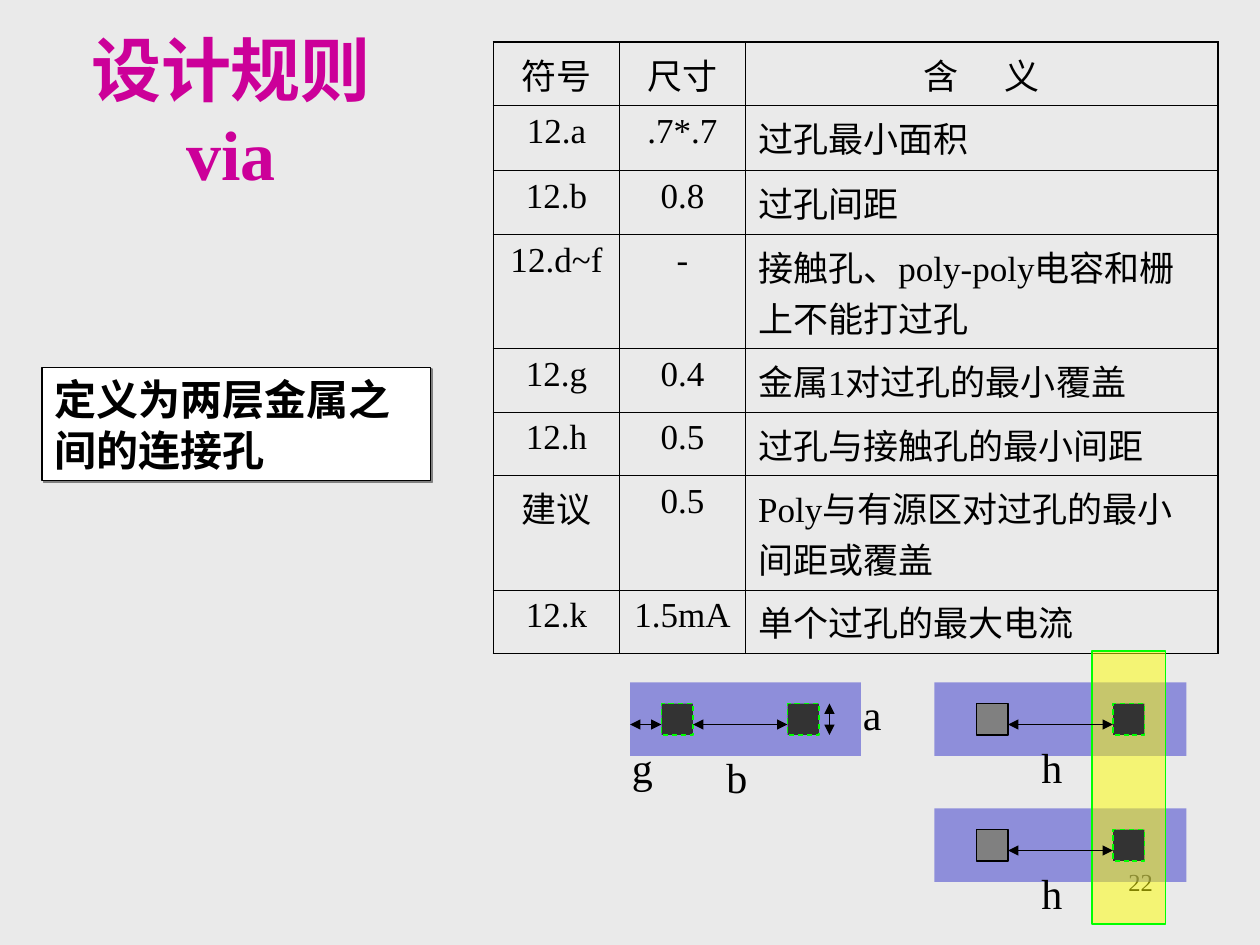
import pptx
import pptx.dml.color
import pptx.enum.dml
import pptx.enum.shapes
import pptx.enum.text
import pptx.oxml
import pptx.oxml.ns
import pptx.util

PX = 7620
FONT = "Times New Roman"
BLACK = "000000"
VIA = 30
NS = 'xmlns:a="http://schemas.openxmlformats.org/drawingml/2006/main"'
ALIGN = pptx.enum.text.PP_ALIGN
AUTO = pptx.enum.text.MSO_AUTO_SIZE
ANCHOR = pptx.enum.text.MSO_ANCHOR

ROWS = [
    (60, "符号", "尺寸", "含 义"),
    (62, "12.a", ".7*.7", "过孔最小面积"),
    (61, "12.b", "0.8", "过孔间距"),
    (92, "12.d~f", "-", "接触孔、poly-poly电容和栅上不能打过孔"),
    (60, "12.g", "0.4", "金属1对过孔的最小覆盖"),
    (60, "12.h", "0.5", "过孔与接触孔的最小间距"),
    (92, "建议", "0.5", "Poly与有源区对过孔的最小间距或覆盖"),
    (60, "12.k", "1.5mA", "单个过孔的最大电流"),
]


def emu(*lengths):
    """Turn px lengths into EMU."""
    return [pptx.util.Emu(n * PX) for n in lengths]


def rgb(color):
    """Turn a hex string into a colour."""
    return pptx.dml.color.RGBColor.from_string(color)


def xml(parent, markup):
    """Append a DrawingML element to a parent."""
    el = pptx.oxml.parse_xml(markup.replace("NS", NS, 1))
    parent.append(el)


def write(p, text, size, color=BLACK, bold=False, align=ALIGN.LEFT):
    """Set the text of a paragraph and format its runs."""
    p.text = text
    p.alignment = align
    for r in p.runs:
        r.font.name = FONT
        r.font.size = pptx.util.Pt(size)
        r.font.bold = bold
        r.font.color.rgb = rgb(color)


def add_text(shapes, box, text, size, align=ALIGN.LEFT, grow=False):
    """Add a wrapped text box."""
    tf = shapes.add_textbox(*emu(*box)).text_frame
    tf.word_wrap = True
    tf.auto_size = AUTO.SHAPE_TO_FIT_TEXT if grow else AUTO.NONE
    write(tf.paragraphs[0], text, size, align=align)


def add_rect(shapes, box, fill, line=None, dashed=False, alpha=None):
    """Add a rectangle with an optional outline and transparency."""
    sp = shapes.add_shape(pptx.enum.shapes.MSO_SHAPE.RECTANGLE, *emu(*box))
    sp.shadow.inherit = False
    sp.fill.solid()
    sp.fill.fore_color.rgb = rgb(fill)
    if alpha:
        clr = sp._element.spPr.find(".//" + pptx.oxml.ns.qn("a:srgbClr"))
        xml(clr, f'<a:alpha NS val="{alpha * 1000}"/>')
    if line:
        sp.line.color.rgb = rgb(line)
        sp.line.width = pptx.util.Pt(0.75)
    else:
        sp.line.fill.background()
    if dashed:
        sp.line.dash_style = pptx.enum.dml.MSO_LINE.DASH
    return sp


def add_band(shapes, x, y, w):
    """Add a translucent metal band."""
    add_rect(shapes, (x, y, w, 70), "3333CC", alpha=50)


def add_via(shapes, x, y):
    """Add a via square."""
    add_rect(shapes, (x, y, VIA, VIA), "333333", "00FF00", dashed=True)


def add_arrow(shapes, x1, y1, x2, y2):
    """Add a double-headed dimension arrow."""
    cx = shapes.add_connector(
        pptx.enum.shapes.MSO_CONNECTOR.STRAIGHT, *emu(x1, y1, x2, y2))
    cx.line.color.rgb = rgb(BLACK)
    cx.line.width = pptx.util.Pt(0.75)
    spPr = cx._element.spPr
    ln = spPr.find(pptx.oxml.ns.qn("a:ln"))
    for end in ("headEnd", "tailEnd"):
        xml(ln, f'<a:{end} NS type="triangle"/>')
    xml(spPr, "<a:effectLst NS/>")


def add_label(shapes, x, y, text):
    """Add a dimension letter."""
    add_text(shapes, (x, y, 50, 60), text, 24, grow=True)


def add_title(s, box):
    """Place and format the title placeholder."""
    sp = s.shapes.title
    sp.left, sp.top, sp.width, sp.height = emu(*box)
    tf = sp.text_frame
    tf.auto_size = AUTO.NONE
    tf.vertical_anchor = ANCHOR.MIDDLE
    write(tf.paragraphs[0], "设计规则\nvia", 40, "CC0099", True, ALIGN.CENTER)


def add_note(s, box):
    """Add the definition note with its shadow."""
    sp = add_rect(s.shapes, box, "FFFFFF", BLACK)
    effects = sp._element.spPr.find(pptx.oxml.ns.qn("a:effectLst"))
    xml(effects, '<a:outerShdw NS dist="17780" dir="2700000" algn="ctr" '
                 'rotWithShape="0"><a:srgbClr val="808080"/></a:outerShdw>')
    tf = sp.text_frame
    tf.word_wrap = True
    tf.auto_size = AUTO.SHAPE_TO_FIT_TEXT
    tf.vertical_anchor = ANCHOR.TOP
    write(tf.paragraphs[0], "定义为两层金属之间的连接孔", 24, bold=True)


def set_borders(cell, outer):
    """Draw cell borders, heavier on the outer sides."""
    tcPr = cell._tc.get_or_add_tcPr()
    for side in "LRTB":
        width = 13716 if side in outer else 5715
        xml(tcPr, f'<a:ln{side} NS w="{width}"><a:solidFill>'
                  f'<a:srgbClr val="{BLACK}"/></a:solidFill></a:ln{side}>')


def add_rules_table(s, x, y):
    """Add the table of design rules."""
    widths = (120, 120, 450)
    height = sum(row[0] for row in ROWS)
    table = s.shapes.add_table(
        len(ROWS), 3, *emu(x, y, sum(widths), height)).table
    table.first_row = table.horz_banding = False
    for col, width in zip(table.columns, emu(*widths)):
        col.width = width
    for i, (row_height, *texts) in enumerate(ROWS):
        table.rows[i].height = emu(row_height)[0]
        for j, text in enumerate(texts):
            cell = table.cell(i, j)
            outer = ("T" * (i == 0) + "B" * (i == len(ROWS) - 1)
                     + "L" * (j == 0) + "R" * (j == 2))
            set_borders(cell, outer)
            cell.fill.background()
            align = ALIGN.LEFT if i and j == 2 else ALIGN.CENTER
            write(cell.text_frame.paragraphs[0], text, 20, align=align)
    r = table.cell(0, 2).text_frame.paragraphs[0].runs[0]
    r.font._element.set("spc", "1100")


def add_spacing_diagram(shapes, x, y):
    """Draw via size, spacing and metal overlap."""
    add_band(shapes, x, y, 220)
    for dx in (30, 150):
        add_via(shapes, x + dx, y + 20)
    add_arrow(shapes, x, y + 40, x + 30, y + 40)
    add_arrow(shapes, x + 60, y + 40, x + 150, y + 40)
    add_arrow(shapes, x + 190, y + 20, x + 190, y + 50)
    for dx, dy, text in ((210, 0, "a"), (80, 60, "b"), (-10, 50, "g")):
        add_label(shapes, x + dx, y + dy, text)


def add_contact_diagram(shapes, x, y):
    """Draw the via to contact spacing on two bands crossed by a strip."""
    tops = (y, y + 120)
    for top in tops:
        add_band(shapes, x, top, 240)
    add_rect(shapes, (x + 150, y - 30, 70, 260), "FFFF00", "00FF00", alpha=50)
    for top in tops:
        add_via(shapes, x + 170, top + 20)
        add_rect(shapes, (x + 40, top + 20, VIA, VIA), "808080", BLACK)
        add_arrow(shapes, x + 70, top + 40, x + 170, top + 40)
        add_label(shapes, x + 90, top + 50, "h")


def main():
    """Build the slide and save it."""
    prs = pptx.Presentation()
    prs.slide_width, prs.slide_height = emu(1200, 900)
    s = prs.slides.add_slide(prs.slide_layouts[5])
    s.background.fill.solid()
    s.background.fill.fore_color.rgb = rgb("EAEAEA")
    add_text(s.shapes, (860, 820, 250, 60), "22", 14, ALIGN.RIGHT)
    add_title(s, (30, 50, 380, 110))
    add_rules_table(s, 470, 40)
    shapes = s.shapes.add_group_shape().shapes
    add_contact_diagram(shapes, 890, 650)
    add_spacing_diagram(shapes, 600, 650)
    add_note(s, (40, 350, 370, 108))
    prs.save("out.pptx")


if __name__ == "__main__":
    main()
